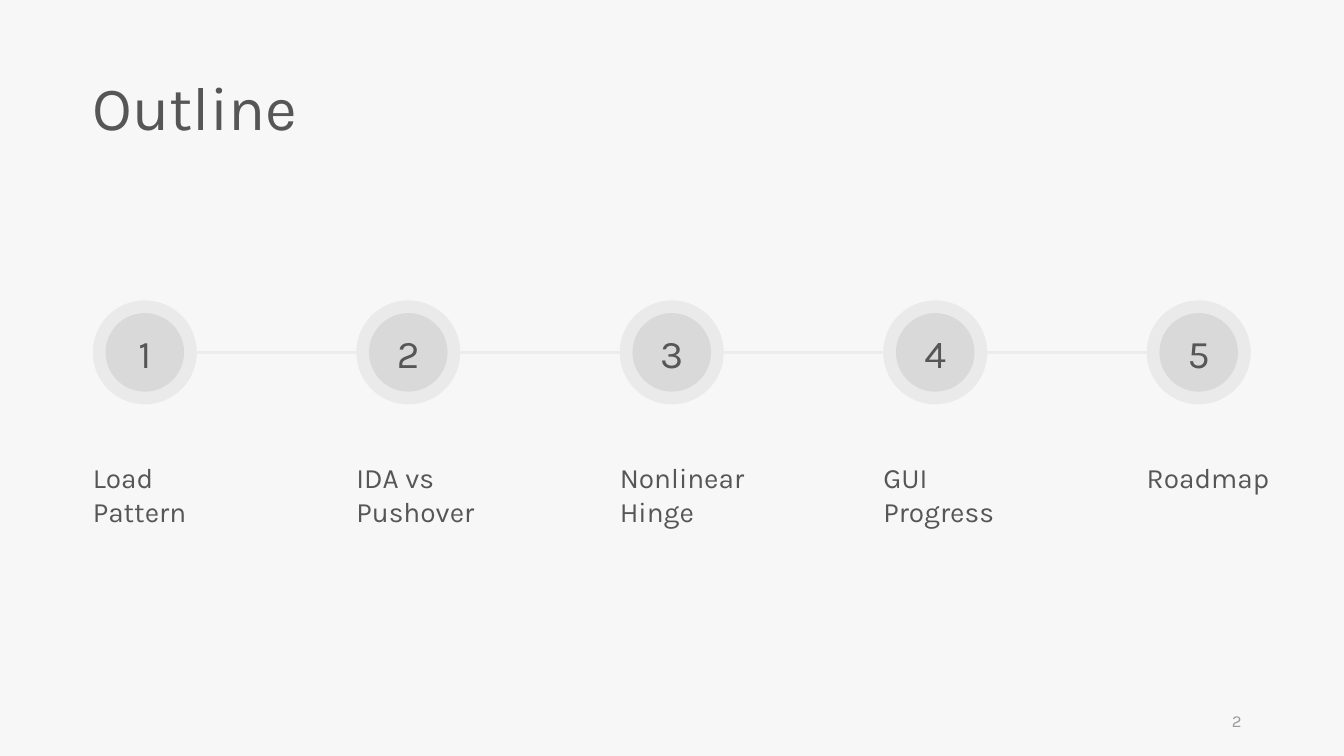
import pptx
import pptx.util
import pptx.dml.color
import pptx.enum.shapes
import pptx.enum.text
import pptx.oxml.ns
import lxml.etree

Cm = pptx.util.Cm
Pt = pptx.util.Pt
ALIGN = pptx.enum.text.PP_ALIGN
ANCHOR = pptx.enum.text.MSO_ANCHOR

FONT = "Karla"
COLORS = {
    "background": "F7F7F7",
    "text": "565656",
    "number": "9A9A9A",
    "circle": "D9D9D9",
    "line": "EDECEC",
}
STEPS = ["Load Pattern", "IDA vs Pushover", "Nonlinear Hinge", "GUI Progress", "Roadmap"]

LEFT = 2.34
PITCH = 6.64
RING = 2.62
DISC = 1.98


def color(name):
    return pptx.dml.color.RGBColor.from_string(COLORS[name])


def write(frame, text, size, ink="text", align=ALIGN.LEFT, anchor=ANCHOR.TOP,
          inset=0.25, before=None, spacing=None):
    frame.word_wrap = True
    frame.vertical_anchor = anchor
    frame.margin_left = Cm(inset)
    para = frame.paragraphs[0]
    para.alignment = align
    para.space_before = before
    para.line_spacing = spacing
    span = para.add_run()
    span.text = text
    span.font.name = FONT
    span.font.size = Pt(size)
    span.font.color.rgb = color(ink)


def add_text(page, left, top, width, height, text, size, **style):
    box = page.shapes.add_textbox(Cm(left), Cm(top), Cm(width), Cm(height))
    write(box.text_frame, text, size, **style)


def add_circle(page, left, top, size, opacity=None):
    circle = page.shapes.add_shape(
        pptx.enum.shapes.MSO_SHAPE.OVAL, Cm(left), Cm(top), Cm(size), Cm(size))
    circle.shadow.inherit = False
    circle.line.fill.background()
    circle.fill.solid()
    circle.fill.fore_color.rgb = color("circle")
    if opacity is not None:
        tint = circle.fill._xPr.find(".//" + pptx.oxml.ns.qn("a:srgbClr"))
        alpha = lxml.etree.SubElement(tint, pptx.oxml.ns.qn("a:alpha"))
        alpha.set("val", str(opacity * 1000))
    return circle


def add_link(page, start, end, height):
    link = page.shapes.add_connector(
        pptx.enum.shapes.MSO_CONNECTOR.STRAIGHT, Cm(start), Cm(height), Cm(end), Cm(height))
    link.line.color.rgb = color("line")
    link.line.width = Pt(2.25)
    lxml.etree.SubElement(link._element.spPr, pptx.oxml.ns.qn("a:effectLst"))


def add_step(page, left, top, number, label):
    # Solid disc under a translucent ring that carries the number
    gap = (RING - DISC) / 2
    add_circle(page, left + gap, top + gap, DISC)
    ring = add_circle(page, left, top, RING, opacity=42)
    write(ring.text_frame, str(number), 28, align=ALIGN.CENTER, anchor=ANCHOR.MIDDLE)
    # Label below
    add_text(page, left, top + 3.91, 4.29, 1.12, label, 20, inset=0)


def add_timeline(page, left, top):
    for index, label in enumerate(STEPS):
        step_left = left + index * PITCH
        add_step(page, step_left, top, index + 1, label)
        if index < len(STEPS) - 1:
            add_link(page, step_left + RING, step_left + PITCH, top + RING / 2)


def add_outline_page(deck):
    page = deck.slides.add_slide(deck.slide_layouts[6])
    page.background.fill.solid()
    page.background.fill.fore_color.rgb = color("background")
    # Title
    add_text(page, LEFT, 1.83, 12.45, 1.96, "Outline", 44,
             inset=0, before=Pt(10), spacing=0.9)
    # Numbered steps
    add_timeline(page, LEFT, 7.57)
    # Page number
    add_text(page, 23.92, 17.65, 7.62, 1.01, "2", 12, ink="number",
             align=ALIGN.RIGHT, anchor=ANCHOR.MIDDLE)


def main():
    deck = pptx.Presentation()
    deck.slide_width = Cm(33.87)
    deck.slide_height = Cm(19.05)
    add_outline_page(deck)
    deck.save("out.pptx")


if __name__ == "__main__":
    main()
